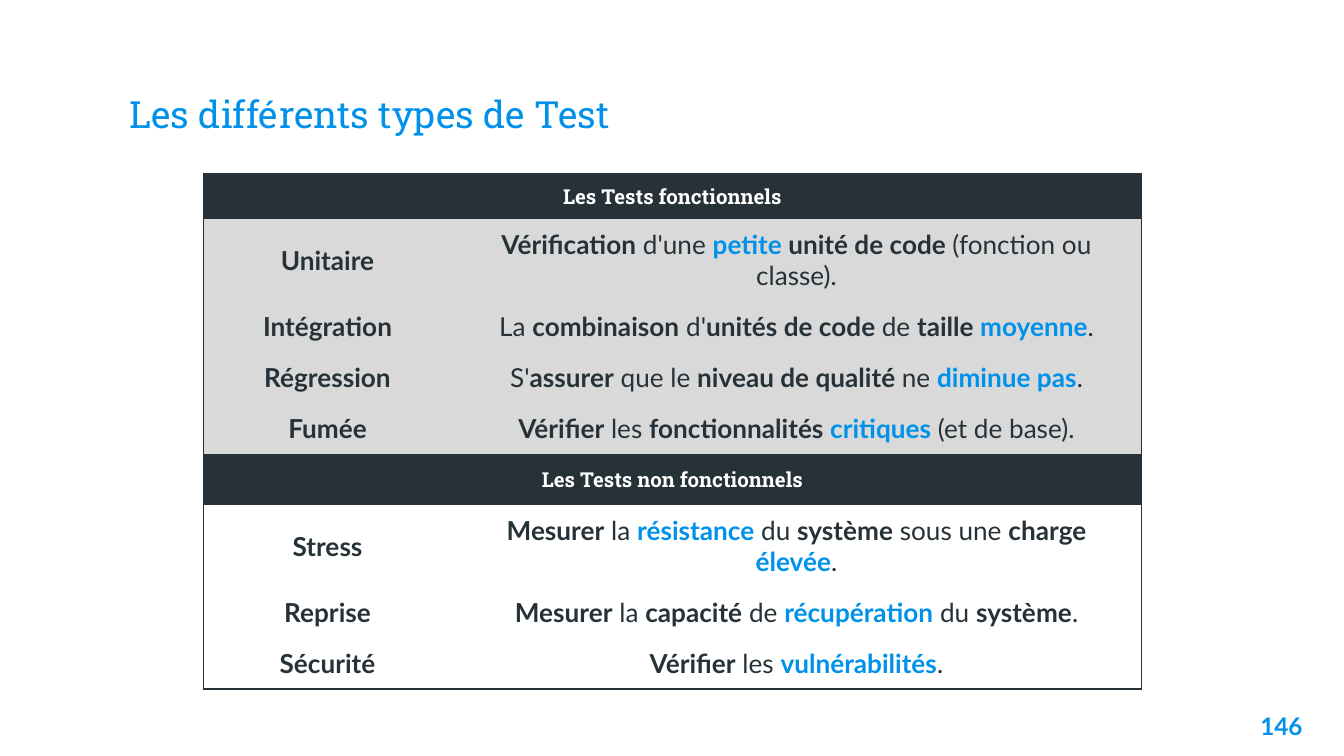
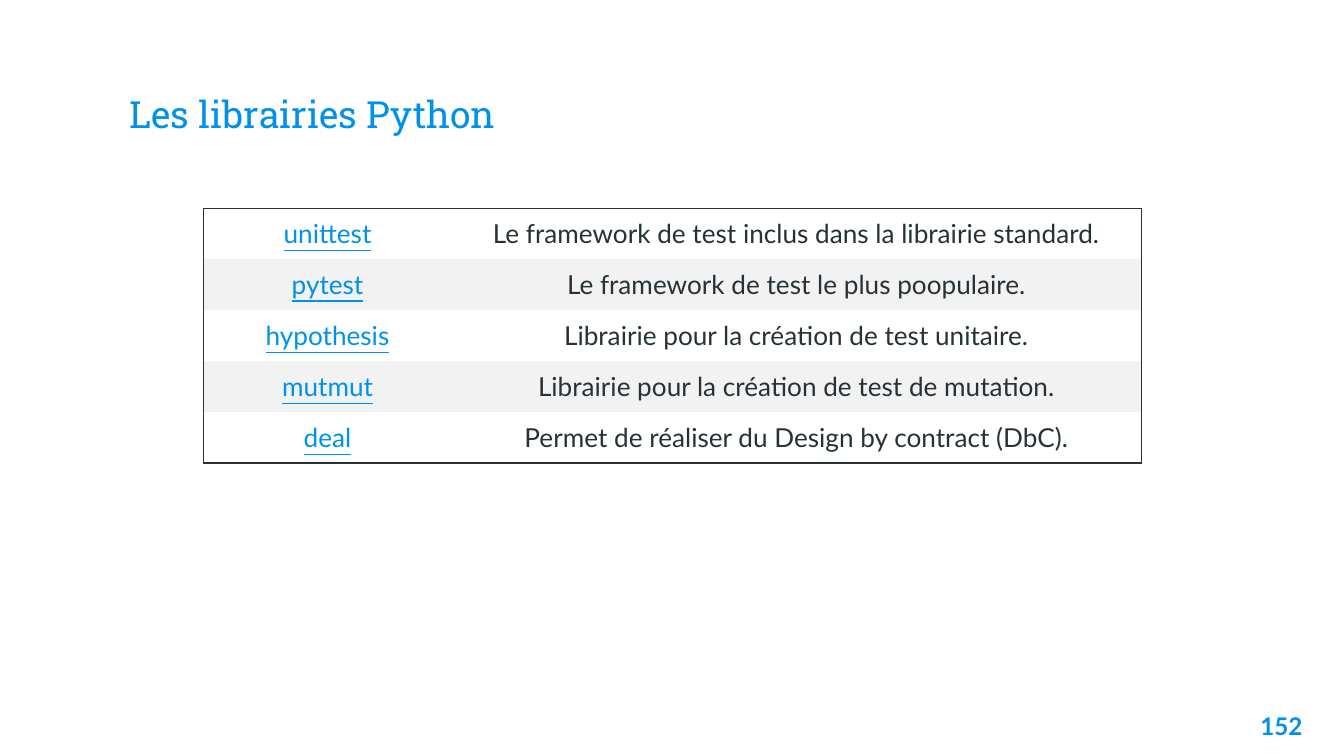
from lxml import etree
from pptx import Presentation
from pptx.dml.color import RGBColor
from pptx.enum.text import MSO_ANCHOR, MSO_AUTO_SIZE, PP_ALIGN
from pptx.oxml.ns import qn
from pptx.util import Pt

BLUE = RGBColor(0x00, 0x91, 0xEA)
DARK = RGBColor(0x26, 0x32, 0x38)
GREY = RGBColor(0xD9, 0xD9, 0xD9)
PALE = RGBColor(0xF2, 0xF2, 0xF2)
WHITE = RGBColor(0xFF, 0xFF, 0xFF)
LEFT, CENTER, RIGHT = PP_ALIGN.LEFT, PP_ALIGN.CENTER, PP_ALIGN.RIGHT
TOP, MIDDLE, BOTTOM = MSO_ANCHOR.TOP, MSO_ANCHOR.MIDDLE, MSO_ANCHOR.BOTTOM
NO_FIT = MSO_AUTO_SIZE.NONE
SLAB, LATO = "Roboto Slab", "Lato"

STYLES = {
    "*": {"bold": True},
    "#": {"bold": True, "color": BLUE},
    "_": {"underline": True, "color": BLUE},
}

TEST_TYPES = [
    (DARK, "Les Tests fonctionnels"),
    (GREY, "*Unitaire",
     "*Vérification| d'une |#petite|* unité de code |(fonction ou classe)."),
    (GREY, "*Intégration",
     "La |*combinaison| d'|*unités de code |de |*taille |#moyenne|."),
    (GREY, "*Régression",
     "S'|*assurer| que le |*niveau de qualité |ne |#diminue pas|."),
    (GREY, "*Fumée",
     "*Vérifier| les |*fonctionnalités |#critiques| (et de base)."),
    (DARK, "Les Tests non fonctionnels"),
    (WHITE, "*Stress",
     "*Mesurer| la |#résistance| du |*système| sous une |*charge |#élevée|."),
    (WHITE, "*Reprise",
     "*Mesurer| la |*capacité| de |#récupération| du |*système|."),
    (WHITE, "*Sécurité", "*Vérifier| les |#vulnérabilités|."),
]

LIBRARIES = [
    (WHITE, "_unittest", "Le framework de test inclus dans la librairie standard."),
    (PALE, "_pytest", "Le framework de test le plus poopulaire."),
    (WHITE, "_hypothesis", "Librairie pour la création de test unitaire."),
    (PALE, "_mutmut", "Librairie pour la création de test de mutation."),
    (WHITE, "_deal", "Permet de réaliser du Design by contract (DbC)."),
]

SLIDES = [
    {"title": "Les différents types de Test", "number": "146",
     "top": 93, "first_height": 24, "rows": TEST_TYPES},
    {"title": "Les librairies Python", "number": "152",
     "top": 111.8, "first_height": 20, "rows": LIBRARIES},
]

TABLE_LEFT, COLUMNS, ROW_HEIGHT = 109, (133, 369.5), 27.4


def write(tf, text, size=14, font=LATO, color=DARK, bold=False, align=CENTER):
    p = tf.paragraphs[0]
    p.alignment = align
    for part in text.split("|"):
        style = STYLES.get(part[0], {})
        r = p.add_run()
        r.text = part[1:] if style else part
        r.font.name = font
        r.font.size = Pt(size)
        r.font.bold = style.get("bold", bold)
        r.font.underline = style.get("underline", False)
        r.font.color.rgb = style.get("color", color)


def set_frame(tf, anchor):
    tf.word_wrap = True
    tf.auto_size = NO_FIT
    tf.vertical_anchor = anchor
    tf.margin_left = tf.margin_right = tf.margin_top = tf.margin_bottom = Pt(7.2)


def set_borders(cell, sides):
    tcPr = cell._tc.get_or_add_tcPr()
    for side in "LRTB":
        ln = etree.SubElement(tcPr, qn("a:ln" + side), w=str(Pt(1)))
        if side in sides:
            fill = etree.SubElement(ln, qn("a:solidFill"))
            etree.SubElement(fill, qn("a:srgbClr"), val=str(DARK))
        else:
            etree.SubElement(ln, qn("a:noFill"))


def add_grid(s, rows, top, first_height):
    heights = [first_height] + [ROW_HEIGHT] * (len(rows) - 1)
    tbl = s.shapes.add_table(len(rows), len(COLUMNS), Pt(TABLE_LEFT), Pt(top),
                             Pt(sum(COLUMNS)), Pt(sum(heights))).table
    tbl.first_row = tbl.horz_banding = False
    for col, width in zip(tbl.columns, COLUMNS):
        col.width = Pt(width)
    for i, (fill, *texts) in enumerate(rows):
        tbl.rows[i].height = Pt(heights[i])
        header = len(texts) == 1
        if header:
            tbl.cell(i, 0).merge(tbl.cell(i, 1))
        for j in range(len(COLUMNS)):
            cell = tbl.cell(i, j)
            sides = "L" if j == 0 else "R"
            if header:
                sides = "LR"
            if i == 0:
                sides += "T"
            if i == len(rows) - 1:
                sides += "B"
            set_borders(cell, sides)
            cell.fill.solid()
            cell.fill.fore_color.rgb = fill
            cell.vertical_anchor = MIDDLE
            cell.margin_left = cell.margin_right = Pt(7.2)
            cell.margin_top = cell.margin_bottom = Pt(5)
        for j, text in enumerate(texts):
            tf = tbl.cell(i, j).text_frame
            if header:
                write(tf, text, size=11, font=SLAB, color=WHITE, bold=True)
            else:
                write(tf, text)


def add_page(prs, title, number, top, first_height, rows):
    s = prs.slides.add_slide(prs.slide_layouts[5])
    sp = s.shapes.title
    sp.left, sp.top, sp.width, sp.height = Pt(62), Pt(24.5), Pt(596), Pt(55.4)
    set_frame(sp.text_frame, BOTTOM)
    write(sp.text_frame, title, size=20, font=SLAB, color=BLUE, align=LEFT)
    box = s.shapes.add_textbox(Pt(661.7), Pt(373.7), Pt(43.2), Pt(31))
    set_frame(box.text_frame, TOP)
    write(box.text_frame, number, size=13, color=BLUE, bold=True, align=RIGHT)
    add_grid(s, rows, top, first_height)


def main():
    prs = Presentation()
    prs.slide_width, prs.slide_height = Pt(720), Pt(405)
    for page in SLIDES:
        add_page(prs, **page)
    prs.save("out.pptx")


if __name__ == "__main__":
    main()
